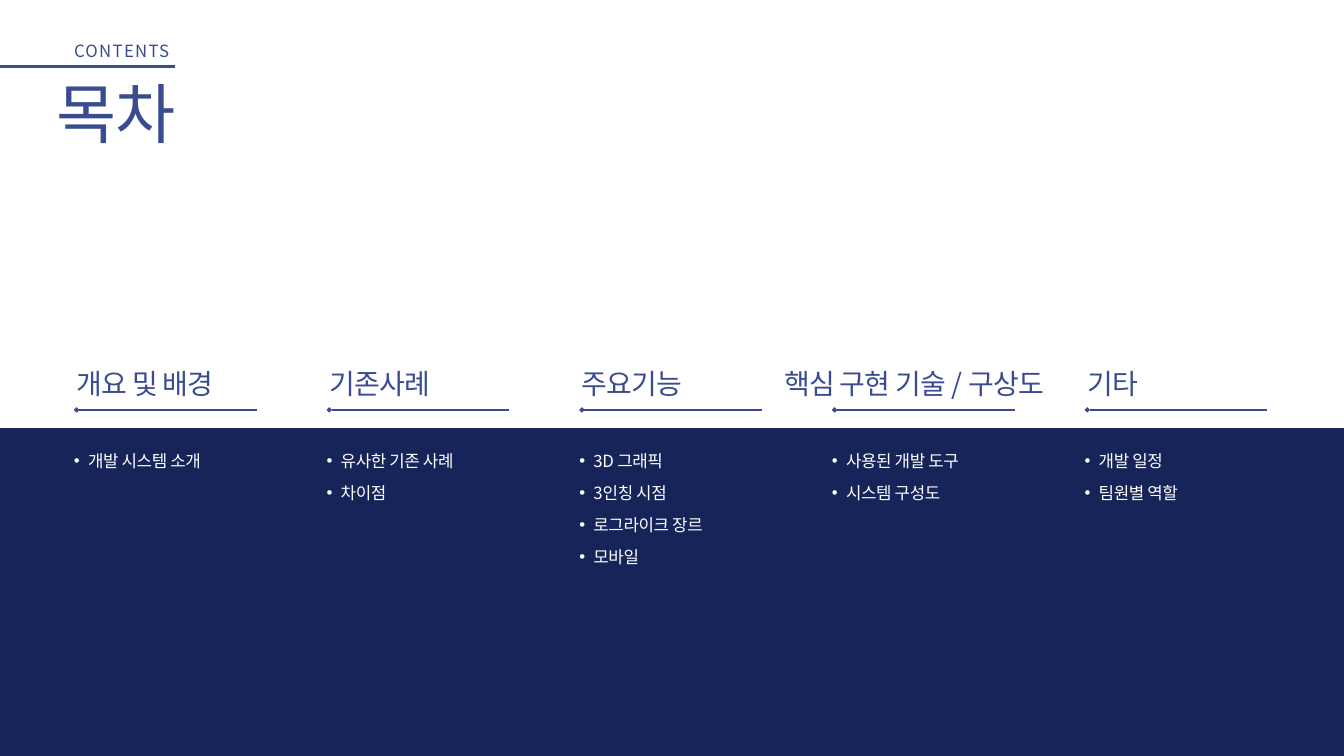
from lxml.etree import SubElement
from pptx import Presentation
from pptx.dml.color import RGBColor
from pptx.enum.shapes import MSO_CONNECTOR, MSO_SHAPE
from pptx.enum.text import MSO_AUTO_SIZE, PP_ALIGN
from pptx.oxml.ns import qn
from pptx.util import Inches, Pt

FONT = "Noto Sans CJK KR"
BLUE = "3A4C8F"
NAVY = "172459"
WHITE = "FFFFFF"

FIRST_LEFT = 1.14
COLUMN_PITCH = 3.76
SECTIONS = [
    ("개요 및 배경", ["개발 시스템 소개"]),
    ("기존사례", ["유사한 기존 사례", "차이점"]),
    ("주요기능", ["3D 그래픽", "3인칭 시점", "로그라이크 장르", "모바일"]),
    ("핵심 구현 기술 / 구상도", ["사용된 개발 도구", "시스템 구성도"]),
    ("기타", ["개발 일정", "팀원별 역할"]),
]
# The fourth heading is wider than its column and starts further left.
WIDE_HEADINGS = {3: (11.67, 4.27)}


def color(hex_value):
    return RGBColor.from_string(hex_value)


class SlideBuilder:
    def __init__(self, slide):
        self.slide = slide

    def band(self, left, top, width, height, fill):
        shape = self.slide.shapes.add_shape(
            MSO_SHAPE.RECTANGLE, Inches(left), Inches(top), Inches(width), Inches(height))
        shape.shadow.inherit = False
        shape.fill.solid()
        shape.fill.fore_color.rgb = color(fill)
        shape.line.fill.background()

    def rule(self, left, right, y, weight, diamond=False):
        """Draw a horizontal line, optionally with a diamond at its left end."""
        connector = self.slide.shapes.add_connector(
            MSO_CONNECTOR.STRAIGHT, Inches(left), Inches(y), Inches(right), Inches(y))
        connector.line.color.rgb = color(BLUE)
        connector.line.width = Pt(weight)
        if diamond:
            SubElement(connector.line._get_or_add_ln(), qn("a:headEnd"), type="diamond")
        SubElement(connector._element.spPr, qn("a:effectLst"))

    def text(self, left, top, width, height, lines, size, leading, spacing,
             fill=BLUE, align=PP_ALIGN.LEFT, bulleted=False):
        """Add a text box; leading and letter spacing are in points."""
        box = self.slide.shapes.add_textbox(
            Inches(left), Inches(top), Inches(width), Inches(height))
        frame = box.text_frame
        frame.word_wrap = True
        frame.auto_size = MSO_AUTO_SIZE.SHAPE_TO_FIT_TEXT
        frame.margin_left = frame.margin_right = 0
        frame.margin_top = frame.margin_bottom = 0
        frame.text = "\n".join(lines)
        for paragraph in frame.paragraphs:
            paragraph.alignment = align
            paragraph.line_spacing = Pt(leading)
            if bulleted:
                self.bullet(paragraph)
            font = paragraph.font
            font.name = FONT
            font.size = Pt(size)
            font.color.rgb = color(fill)
            properties = paragraph._p.pPr.find(qn("a:defRPr"))
            properties.set("spc", str(round(spacing * 100)))
            SubElement(properties, qn("a:ea"), typeface=FONT)

    def bullet(self, paragraph):
        paragraph.level = 1
        properties = paragraph._p.get_or_add_pPr()
        properties.set("marL", str(Inches(0.42)))
        properties.set("indent", str(Inches(-0.21)))
        SubElement(properties, qn("a:buFont"), typeface="Arial")
        SubElement(properties, qn("a:buChar"), char="•")

    def section(self, left, heading, items, heading_left, heading_width):
        self.rule(left, left + 2.68, 6.1, 1.5, diamond=True)
        self.text(heading_left, 5.46, heading_width, 0.51, [heading], 30, 36, -0.8)
        self.text(left - 0.25, 6.53, 3.91, 0.475 * len(items), items, 18, 34.2, -0.4,
                  fill=WHITE, bulleted=True)


def main():
    presentation = Presentation()
    presentation.slide_width = Inches(20)
    presentation.slide_height = Inches(11.25)
    builder = SlideBuilder(presentation.slides.add_slide(presentation.slide_layouts[6]))

    builder.rule(-0.75, 2.61, 0.99, 2.25)
    builder.band(-0.09, 6.37, 20.18, 4.98, NAVY)
    builder.text(-0.13, 1.18, 2.74, 1.11, ["목차"], 70, 77, -1.8, align=PP_ALIGN.RIGHT)
    builder.text(-0.22, 0.61, 2.74, 0.3, ["CONTENTS"], 18, 21.6, 1.4, align=PP_ALIGN.RIGHT)

    for index, (heading, items) in enumerate(SECTIONS):
        left = FIRST_LEFT + index * COLUMN_PITCH
        heading_left, heading_width = WIDE_HEADINGS.get(index, (left, 3.66))
        builder.section(left, heading, items, heading_left, heading_width)

    presentation.save("out.pptx")


if __name__ == "__main__":
    main()
